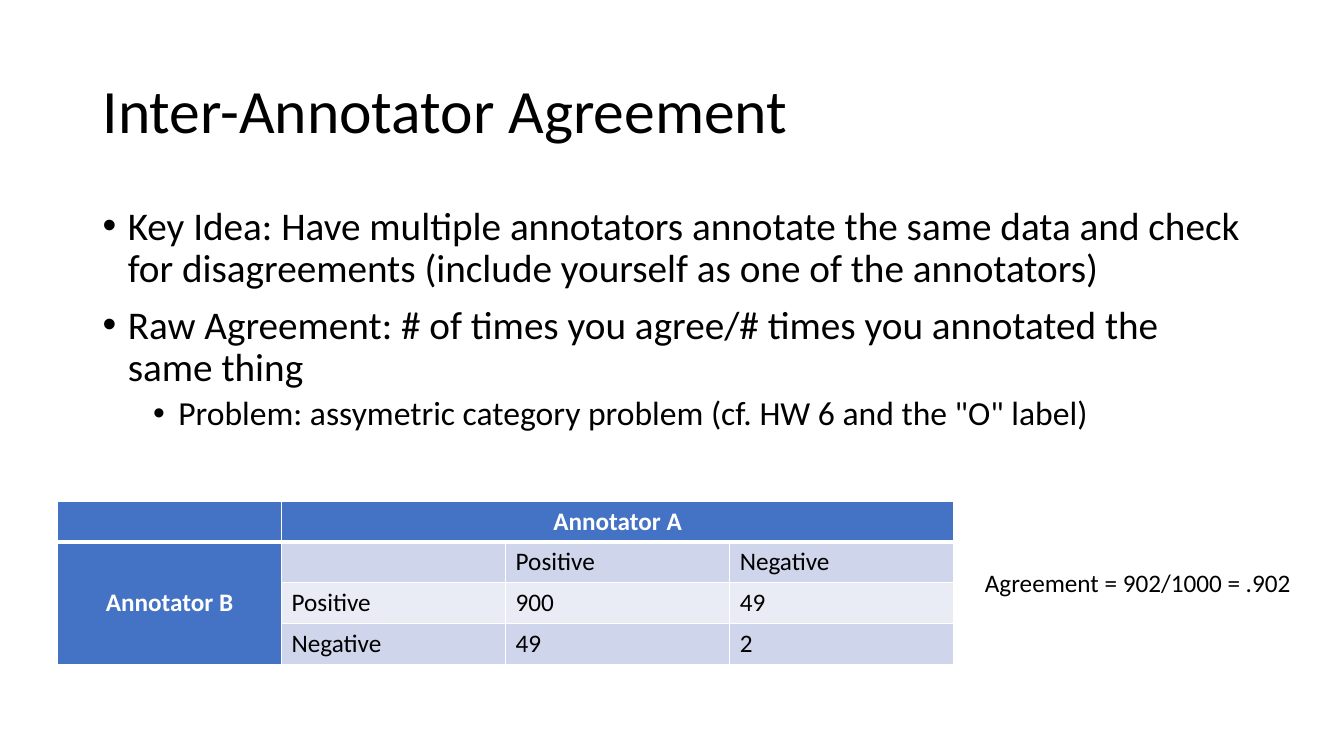
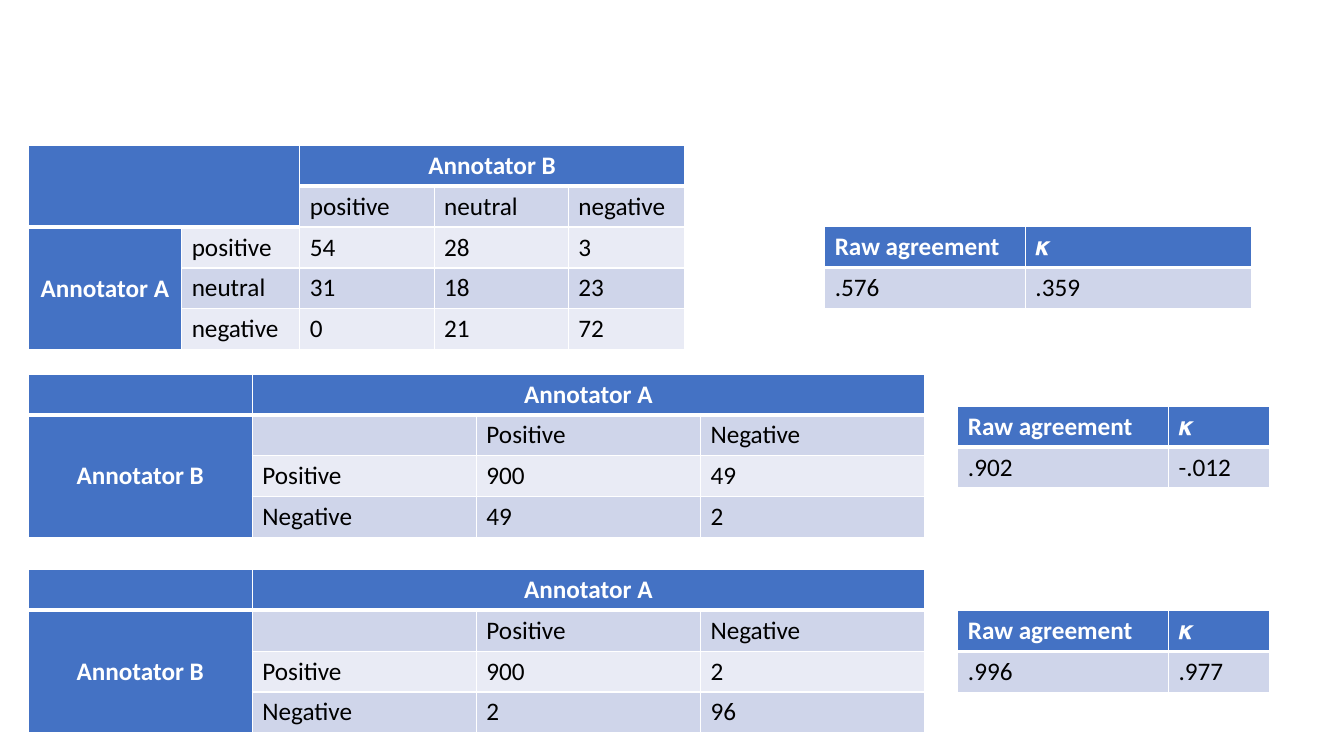
from lxml.etree import SubElement
from pptx import Presentation
from pptx.dml.color import RGBColor
from pptx.enum.text import MSO_ANCHOR, PP_ALIGN
from pptx.oxml.ns import qn
from pptx.util import Inches, Pt

BLACK = RGBColor(0x00, 0x00, 0x00)
WHITE = RGBColor(0xFF, 0xFF, 0xFF)
BLUE = RGBColor(0x44, 0x72, 0xC4)
BANDS = RGBColor(0xE9, 0xEB, 0xF5), RGBColor(0xCF, 0xD5, 0xEA)

TITLE = {"name": "Calibri", "size": Pt(44)}
BODY = {"name": "Calibri", "size": Pt(28)}
SUB = BODY | {"size": Pt(24)}
SMALL = BODY | {"size": Pt(18)}
HEAD = SMALL | {"bold": True}

CONTENT_LEFT, CONTENT_WIDTH = 0.92, 11.5
MATRIX_SIZE = 8.89, 1.62
SCORE_SIZE = 3.09, 0.81
EDGE = 0.28


def add_run(p, text, style, colour=BLACK):
    r = p.add_run()
    r.text = text
    for name, value in style.items():
        setattr(r.font, name, value)
    r.font.color.rgb = colour


def add_box(slide, box, wrap=True, anchor=MSO_ANCHOR.TOP):
    tf = slide.shapes.add_textbox(*map(Inches, box)).text_frame
    tf.word_wrap = wrap
    tf.vertical_anchor = anchor
    return tf


def add_title(slide, text):
    tf = add_box(slide, (CONTENT_LEFT, 0.4, CONTENT_WIDTH, 1.45), anchor=MSO_ANCHOR.MIDDLE)
    p = tf.paragraphs[0]
    p.line_spacing = 0.9
    add_run(p, text, TITLE)


def add_bullets(slide, box, items):
    """Items are (level, text) pairs."""
    tf = add_box(slide, box)
    for i, (level, text) in enumerate(items):
        p = tf.add_paragraph() if i else tf.paragraphs[0]
        p.level = level
        p.line_spacing = 0.9
        p.space_before = Pt((5 if level else 10) if i else 0)
        pPr = p._p.get_or_add_pPr()
        pPr.set("marL", str(Inches(0.25 + 0.5 * level)))
        pPr.set("indent", str(Inches(-0.25)))
        SubElement(pPr, qn("a:buFont"), typeface="Arial")
        SubElement(pPr, qn("a:buChar"), char="•")
        add_run(p, text, SUB if level else BODY)


def set_borders(cell, top, bottom):
    """Put white lines round a cell, in points, ahead of its fill."""
    tcPr = cell._tc.get_or_add_tcPr()
    for i, (side, width) in enumerate({"L": 1, "R": 1, "T": top, "B": bottom}.items()):
        ln = SubElement(tcPr, qn(f"a:ln{side}"), w=str(Pt(width)))
        fill = SubElement(ln, qn("a:solidFill"))
        SubElement(fill, qn("a:srgbClr"), val=str(WHITE))
        tcPr.insert(i, ln)


def add_table(slide, box, widths, rows, spans=(), corner=(1, 1), side=0):
    """Widths are shares of the box; side counts the heading columns on the left."""
    table = slide.shapes.add_table(len(rows), len(widths), *map(Inches, box)).table
    table.first_row = table.horz_banding = False
    for col, width in zip(table.columns, widths):
        col.width = Inches(box[2] * width / sum(widths))
    for row in table.rows:
        row.height = Inches(box[3] / len(rows))
    for top, left, bottom, right in spans:
        table.cell(top, left).merge(table.cell(bottom, right))

    for r, row in enumerate(rows):
        for c, text in enumerate(row):
            cell = table.cell(r, c)
            last_head = corner[0] - 1 if c < corner[1] else 0
            heading = r <= last_head or c < side
            cell.fill.solid()
            cell.fill.fore_color.rgb = BLUE if heading else BANDS[r % 2]
            set_borders(cell, 3 if r == last_head + 1 else 1, 3 if r <= last_head else 1)
            if not text:
                continue
            p = cell.text_frame.paragraphs[0]
            add_run(p, text, HEAD if heading else SMALL, WHITE if heading else BLACK)
            if cell.is_merge_origin:
                p.alignment = PP_ALIGN.CENTER
                if cell.span_height > 1:
                    cell.vertical_anchor = MSO_ANCHOR.MIDDLE


def add_two_way_matrix(slide, left, top, both_positive, differ, both_negative):
    rows = [
        ("", "Annotator A", "", ""),
        ("Annotator B", "", "Positive", "Negative"),
        ("", "Positive", both_positive, differ),
        ("", "Negative", differ, both_negative),
    ]
    add_table(slide, (left, top, *MATRIX_SIZE), [1] * 4, rows,
              spans=[(0, 1, 0, 3), (1, 0, 3, 0)], side=1)


def add_three_way_matrix(slide, box):
    rows = [
        ("", "", "Annotator B", "", ""),
        ("", "", "positive", "neutral", "negative"),
        ("Annotator A", "positive", "54", "28", "3"),
        ("", "neutral", "31", "18", "23"),
        ("", "negative", "0", "21", "72"),
    ]
    add_table(slide, box, (1.52, 1.17, 1.33, 1.33, 1.15), rows,
              spans=[(0, 0, 1, 1), (0, 2, 0, 4), (2, 0, 4, 0)], corner=(2, 2), side=1)


def add_scores(slide, box, raw, kappa, widths=(2.09, 1)):
    add_table(slide, box, widths, [("Raw agreement", "𝜿"), (raw, kappa)])


def build_agreement_slide(slide):
    add_title(slide, "Inter-Annotator Agreement")
    add_bullets(slide, (CONTENT_LEFT, 2, CONTENT_WIDTH, 2.67), [
        (0, "Key Idea: Have multiple annotators annotate the same data and check "
            "for disagreements (include yourself as one of the annotators)"),
        (0, "Raw Agreement: # of times you agree/# times you annotated the same thing"),
        (1, 'Problem: assymetric category problem (cf. HW 6 and the "O" label)'),
    ])
    add_two_way_matrix(slide, 0.57, 4.97, "900", "49", "2")
    tf = add_box(slide, (9.67, 5.58, 3.27, 0.4), wrap=False)
    add_run(tf.paragraphs[0], "Agreement = 902/1000 = .902", SMALL)


def build_kappa_slide(slide):
    add_three_way_matrix(slide, (EDGE, 1.44, 6.51, 2.03))
    add_scores(slide, (8.18, 2.25, 4.23, 0.81), ".576", ".359", widths=(1.99, 2.24))
    for top, counts, score_top, scores in [
        (3.71, ("900", "49", "2"), 4.03, (".902", "-.012")),
        (5.65, ("900", "2", "96"), 6.06, (".996", ".977")),
    ]:
        add_two_way_matrix(slide, EDGE, top, *counts)
        add_scores(slide, (9.5, score_top, *SCORE_SIZE), *scores)


def main():
    prs = Presentation()
    prs.slide_width, prs.slide_height = Inches(13.33), Inches(7.5)
    for build in (build_agreement_slide, build_kappa_slide):
        build(prs.slides.add_slide(prs.slide_layouts[6]))
    prs.save("out.pptx")


if __name__ == "__main__":
    main()
